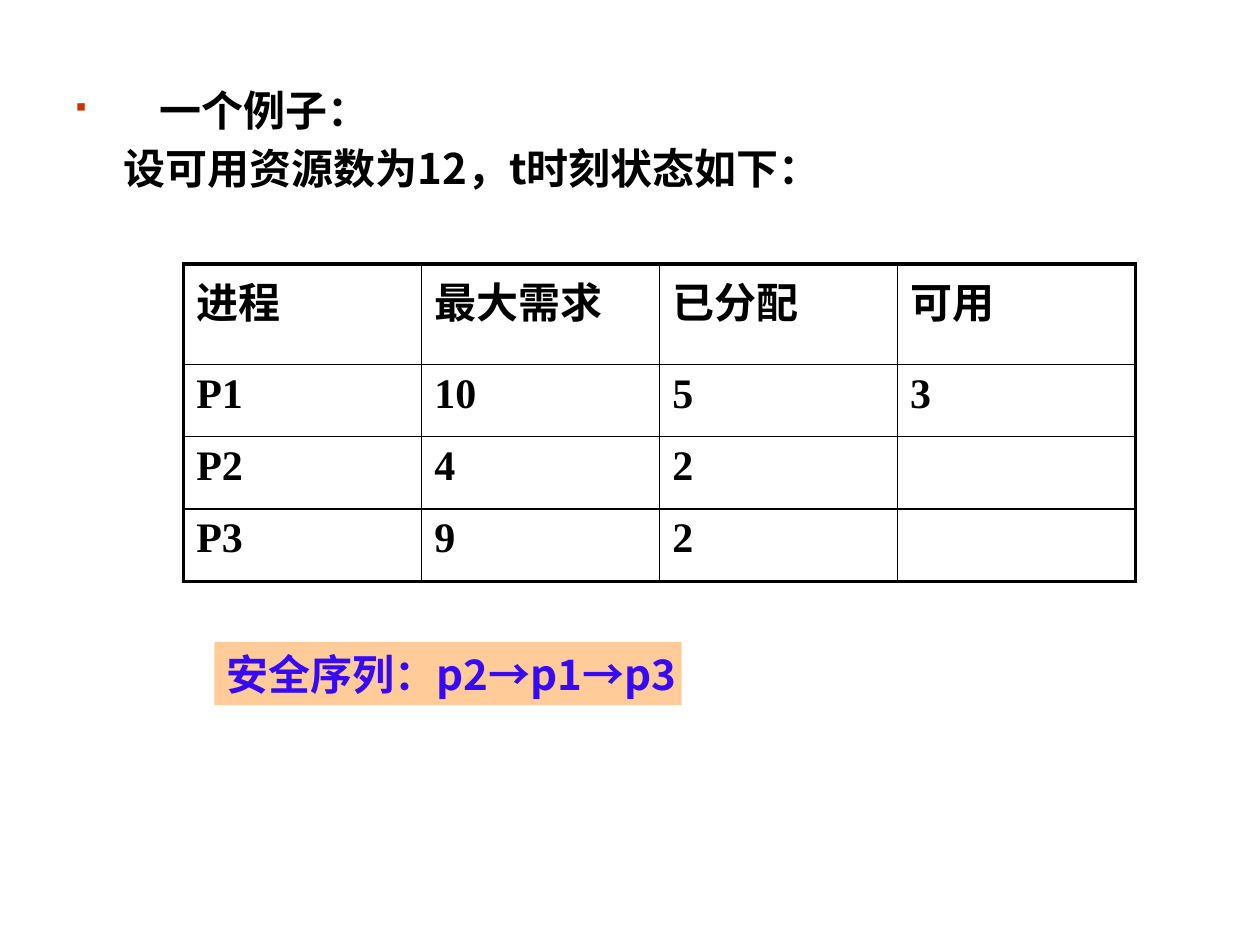
from pptx import Presentation
from pptx.dml.color import RGBColor as Rgb
from pptx.enum.shapes import MSO_SHAPE as Kind
from pptx.enum.text import MSO_ANCHOR as Anchor, PP_ALIGN as Align
from pptx.oxml import parse_xml
from pptx.oxml.ns import nsdecls
from pptx.oxml.xmlchemy import OxmlElement as Node
from pptx.util import Pt

HUES = {"ink": "000000", "mark": "CC3300", "band": "FFCC99", "note": "3609F7"}
SANS, SERIF = "Noto Sans CJK SC", "Times New Roman"
ROWS = [
    ["进程", "最大需求", "已分配", "可用"],
    ["P1", "10", "5", "3"],
    ["P2", "4", "2", ""],
    ["P3", "9", "2", ""],
]


class Board:
    """Holds the text style and the current slide."""

    def __init__(self, deck, size=24):
        self.slide = deck.slides.add_slide(deck.slide_layouts[6])
        self.size = size

    def style(self, para, hue="ink", face=SANS):
        for run in para.runs:
            font = run.font
            font.size, font.bold, font.name = Pt(self.size), True, face
            font.color.rgb = Rgb.from_string(HUES[hue])
            east = Node("a:ea")
            east.set("typeface", SANS)
            font._element.append(east)

    def bullet(self, para, char, hue, scale):
        props = para._p.get_or_add_pPr()
        for xml in (
            f'<a:buClr {nsdecls("a")}><a:srgbClr val="{HUES[hue]}"/></a:buClr>',
            f'<a:buSzPct {nsdecls("a")} val="{scale * 1000}"/>',
            f'<a:buFont {nsdecls("a")} typeface="Wingdings" charset="2"/>',
            f'<a:buChar {nsdecls("a")} char="{char}"/>',
        ):
            props.append(parse_xml(xml))

    def indent(self, para, left, first=0):
        props = para._p.get_or_add_pPr()
        props.set("marL", str(Pt(left)))
        props.set("indent", str(Pt(first)))

    def intro(self, box, head, body):
        frame = self.slide.shapes.add_textbox(*map(Pt, box)).text_frame
        frame.word_wrap = True
        frame.text = f"{head}\n{body}"
        top, low = frame.paragraphs
        self.indent(top, 48, -48)
        self.bullet(top, "§", "mark", 60)
        self.indent(low, 27.5)
        low.space_before = Pt(7.2)
        for para in (top, low):
            para.line_spacing = 0.9
            self.style(para)

    def edge(self, cell, side, width):
        cell._tc.get_or_add_tcPr().append(parse_xml(
            f'<a:ln{side} {nsdecls("a")} w="{Pt(width)}"><a:solidFill>'
            f'<a:srgbClr val="{HUES["ink"]}"/></a:solidFill></a:ln{side}>'))

    def table(self, rows, left, top, wide, highs):
        count, span = len(rows), len(rows[0])
        grid = self.slide.shapes.add_table(
            count, span, Pt(left), Pt(top), Pt(wide * span), Pt(sum(highs))).table
        for col in grid.columns:
            col.width = Pt(wide)
        for y, (row, high) in enumerate(zip(rows, highs)):
            grid.rows[y].height = Pt(high)
            for x, text in enumerate(row):
                cell = grid.cell(y, x)
                outer = {"L": x == 0, "R": x == span - 1,
                         "T": y == 0, "B": y == count - 1}
                for side, thick in outer.items():
                    self.edge(cell, side, 2.25 if thick else 1)
                cell.fill.background()
                cell.text_frame.text = text
                self.style(cell.text_frame.paragraphs[0], face=SERIF)

    def banner(self, box, text):
        shape = self.slide.shapes.add_shape(Kind.RECTANGLE, *map(Pt, box))
        shape.shadow.inherit = False
        shape.fill.solid()
        shape.fill.fore_color.rgb = Rgb.from_string(HUES["band"])
        shape.line.fill.background()
        frame = shape.text_frame
        frame.word_wrap = False
        frame.vertical_anchor = Anchor.MIDDLE
        frame.margin_right = frame.margin_top = frame.margin_bottom = 0
        frame.text = text
        para = frame.paragraphs[0]
        para.alignment = Align.LEFT
        self.style(para, "note")


def main():
    deck = Presentation()
    deck.slide_width, deck.slide_height = Pt(720), Pt(540)
    board = Board(deck)
    board.intro((36, 48, 648, 62), "一个例子：", "设可用资源数为12，t时刻状态如下：")
    board.table(ROWS, 105, 150.75, 136, [57.5, 41.25, 41.5, 41.25])
    board.banner((122.5, 367, 267, 36), "安全序列：p2→p1→p3")
    deck.save("out.pptx")


if __name__ == "__main__":
    main()
